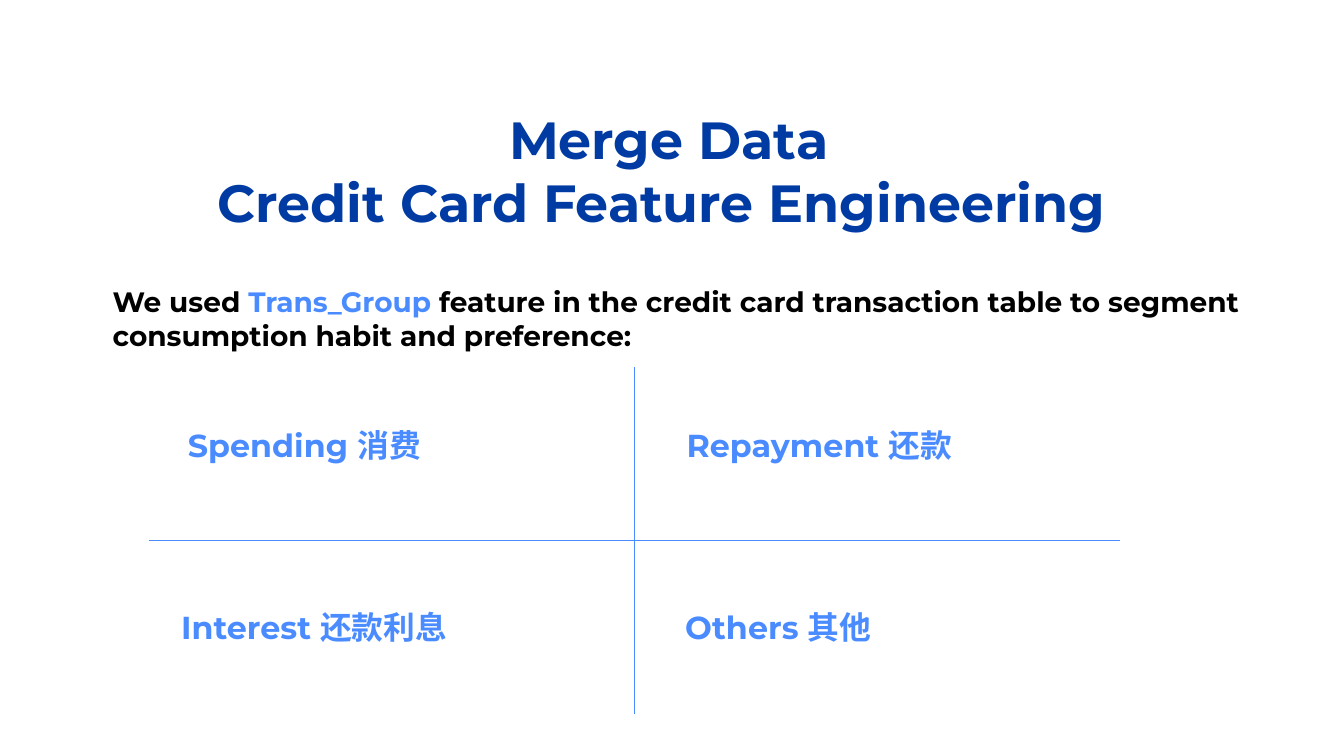
import dataclasses

import pptx
import pptx.dml.color
import pptx.enum.shapes
import pptx.enum.text
import pptx.oxml.ns
import pptx.util
from lxml import etree
from pptx.util import Inches


@dataclasses.dataclass(frozen=True)
class Theme:
    font: str = "Montserrat"
    navy: str = "003BA3"
    blue: str = "4A8CFF"
    black: str = "000000"
    title_size: int = 28
    intro_size: int = 15
    label_size: int = 17
    line_width: float = 0.75


theme = Theme()


def add_text(page, left, top, width, height, paragraphs, size):
    """Add a bold text box; each paragraph is a list of (text, colour) spans."""
    box = page.shapes.add_textbox(Inches(left), Inches(top), Inches(width), Inches(height))
    frame = box.text_frame
    frame.word_wrap = True
    frame.margin_left = frame.margin_right = Inches(0.1)
    frame.margin_top = frame.margin_bottom = Inches(0.1)
    for index, spans in enumerate(paragraphs):
        para = frame.add_paragraph() if index else frame.paragraphs[0]
        para.font.name = theme.font
        para.font.size = pptx.util.Pt(size)
        para.font.bold = True
        for text, color in spans:
            span = para.add_run()
            span.text = text
            span.font.color.rgb = pptx.dml.color.RGBColor.from_string(color)
    return frame


deck = pptx.Presentation()
deck.slide_width = Inches(10)
deck.slide_height = Inches(10 * 9 / 16)
page = deck.slides.add_slide(deck.slide_layouts[6])

# Title
title = add_text(
    page, -0.2, 0.7, 9.85, 0.7,
    [[("Merge Data", theme.navy)], [("Credit Card Feature Engineering ", theme.navy)]],
    theme.title_size,
)
for para in title.paragraphs:
    para.alignment = pptx.enum.text.PP_ALIGN.CENTER
    para._p.get_or_add_pPr().set("indent", str(Inches(0.5)))

# Introduction
intro = [
    ("We used ", theme.black),
    ("Trans_Group", theme.blue),
    (" feature in the credit card transaction table to segment "
     "consumption habit and preference:", theme.black),
]
add_text(page, 0.74, 2.02, 8.78, 0.71, [intro], theme.intro_size)

# Cross that divides the four groups
cross = page.shapes.add_group_shape()
for x1, y1, x2, y2 in [(4.72, 2.73, 4.72, 5.31), (1.11, 4.02, 8.33, 4.02)]:
    line = cross.shapes.add_connector(
        pptx.enum.shapes.MSO_CONNECTOR.STRAIGHT,
        Inches(x1), Inches(y1), Inches(x2), Inches(y2),
    )
    line.line.color.rgb = pptx.dml.color.RGBColor.from_string(theme.blue)
    line.line.width = pptx.util.Pt(theme.line_width)
    etree.SubElement(line._element.spPr, pptx.oxml.ns.qn("a:effectLst"))

# Transaction groups
groups = [
    ("Spending 消费", 1.3, 3.07, 3.5),
    ("Repayment 还款", 5.01, 3.07, 3.32),
    ("Interest 还款利息", 1.25, 4.42, 3.43),
    ("Others 其他", 5, 4.42, 3.03),
]
for label, left, top, width in groups:
    add_text(page, left, top, width, 0.49, [[(label, theme.blue)]], theme.label_size)

deck.save("out.pptx")
